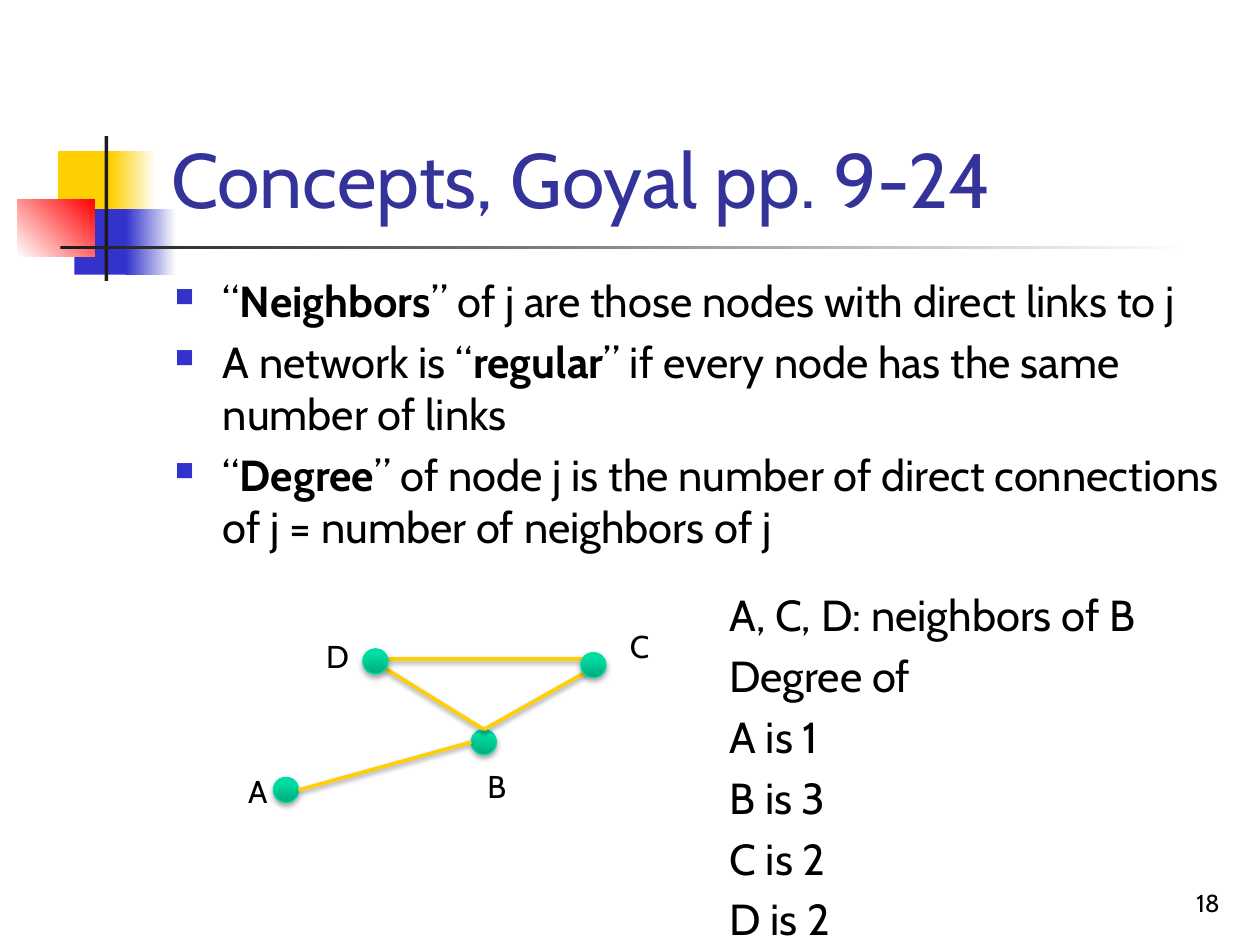
from typing import NamedTuple

from lxml import etree
from pptx import Presentation
from pptx.dml.color import RGBColor
from pptx.enum import shapes, text
from pptx.oxml import ns
from pptx.util import Inches, Pt

COLORS = {
    "yellow": "FFCF01", "blue": "3333CC", "red": "FF0000", "white": "FFFFFF",
    "dark": "1C1C1C", "title": "333399", "black": "000000",
    "node_low": "00AA7D", "node_mid": "00DDA3", "node_high": "00DEA4", "node_edge": "00DFA4",
}
FONT = "Cabin"
NODE_SIZE = 0.2
BODY_SIZE = 24.8
SPACE_BEFORE = 5


class Box(NamedTuple):
    left: float
    top: float
    width: float
    height: float


class Gradient(NamedTuple):
    stops: tuple[tuple[int, str], ...]
    angle: int = 0


class Block(NamedTuple):
    box: Box
    paint: str | Gradient


class Node(NamedTuple):
    name: str
    left: float
    top: float
    label: Box


class Link(NamedTuple):
    start: tuple[float, float]
    end: tuple[float, float]


class Run(NamedTuple):
    words: str
    bold: bool = False


def fade(start: str, end: str, angle: int = 0) -> Gradient:
    """Return a two-colour gradient."""
    return Gradient(((0, start), (100, end)), angle)


BLOCKS = [
    Block(Box(0.46, 1.2, 0.48, 0.52), "yellow"),
    Block(Box(0.88, 1.2, 0.36, 0.52), fade("yellow", "white")),
    Block(Box(0.59, 1.66, 0.46, 0.52), "blue"),
    Block(Box(1, 1.66, 0.4, 0.52), fade("blue", "white")),
    Block(Box(0.14, 1.58, 0.61, 0.46), fade("white", "red", 315)),
    Block(Box(0.83, 1.08, 0.03, 1.15), "dark"),
    Block(Box(0.48, 1.95, 9, 0.03), fade("dark", "white")),
]
NODE_PAINT = Gradient(((0, "node_low"), (80, "node_mid"), (100, "node_high")), 270)
BACK_NODES = [
    Node("B", 3.74, 5.79, Box(3.77, 6.04, 0.35, 0.4)),
    Node("A", 2.17, 6.17, Box(1.87, 6.08, 0.35, 0.4)),
]
FRONT_NODES = [
    Node("C", 4.61, 5.18, Box(4.9, 4.93, 0.35, 0.4)),
    Node("D", 2.88, 5.15, Box(2.49, 5.01, 0.37, 0.4)),
]
LINKS = [
    Link((3.08, 5.23), (4.68, 5.23)),
    Link((3.84, 5.79), (3.05, 5.3)),
    Link((3.84, 5.79), (4.71, 5.3)),
    Link((2.37, 6.27), (3.74, 5.89)),
]
CONCEPTS = [
    [Run("“"), Run("Neighbors", True), Run("” of j are those nodes with direct links to j")],
    [Run("A network is “"), Run("regular", True),
     Run("” if every node has the same number of links")],
    [Run("“"), Run("Degree", True),
     Run("” of node j is the number of direct connections of j = number of neighbors of j")],
]
DEGREES = ["A, C, D: neighbors of B", "Degree of", "A is 1", "B is 3", "C is 2", "D is 2"]


def rgb(name: str) -> RGBColor:
    """Look up a palette colour."""
    return RGBColor.from_string(COLORS[name])


def add_xml(parent, tag: str, **attributes):
    """Append a child element in the drawing namespace."""
    values = {key: str(value) for key, value in attributes.items()}
    return etree.SubElement(parent, ns.qn(f"a:{tag}"), values)


def add_shadow(shape, opacity: int, distance: float) -> None:
    """Give a shape a soft shadow straight below it."""
    effects = add_xml(shape._element.spPr, "effectLst")
    shadow = add_xml(effects, "outerShdw", blurRad=Pt(3.1), dist=Pt(distance),
                     dir=90 * 60000, rotWithShape=0)
    add_xml(add_xml(shadow, "srgbClr", val=COLORS["black"]), "alpha", val=opacity * 1000)


def paint_shape(shape, paint: str | Gradient) -> None:
    """Fill a shape with a plain colour or a gradient."""
    if isinstance(paint, str):
        shape.fill.solid()
        shape.fill.fore_color.rgb = rgb(paint)
        return
    shape.fill.gradient()
    shape.fill.gradient_angle = -paint.angle % 360
    stops = shape._element.spPr.find(".//" + ns.qn("a:gsLst"))
    stops.clear()
    for position, color in paint.stops:
        add_xml(add_xml(stops, "gs", pos=position * 1000), "srgbClr", val=COLORS[color])


def add_block(slide, block: Block) -> None:
    """Draw one piece of the corner ornament."""
    piece = slide.shapes.add_shape(shapes.MSO_SHAPE.RECTANGLE, *map(Inches, block.box))
    piece.shadow.inherit = False
    piece.line.fill.background()
    paint_shape(piece, block.paint)


def add_text(slide, box: Box, paragraphs: list[list[Run]], size: float, color: str = "black",
             anchor=text.MSO_ANCHOR.TOP, align=text.PP_ALIGN.LEFT, before: float = 0,
             wrap: bool = True, bullets: bool = False) -> None:
    """Place paragraphs of runs in a text box."""
    frame = slide.shapes.add_textbox(*map(Inches, box)).text_frame
    frame.word_wrap = wrap
    frame.vertical_anchor = anchor
    if not wrap:
        frame.auto_size = text.MSO_AUTO_SIZE.SHAPE_TO_FIT_TEXT
    for index, runs in enumerate(paragraphs):
        paragraph = frame.add_paragraph() if index else frame.paragraphs[0]
        paragraph.alignment = align
        paragraph.space_before = Pt(before)
        if bullets:
            add_bullet(paragraph)
        for words, bold in runs:
            run = paragraph.add_run()
            run.text = words
            run.font.name = FONT
            run.font.size = Pt(size)
            run.font.bold = bold
            run.font.color.rgb = rgb(color)


def add_bullet(paragraph) -> None:
    """Give a paragraph a hanging square bullet."""
    properties = paragraph._p.get_or_add_pPr()
    properties.set("marL", str(Inches(0.38)))
    properties.set("indent", str(Inches(-0.38)))
    add_xml(add_xml(properties, "buClr"), "srgbClr", val=COLORS["blue"])
    add_xml(properties, "buSzPct", val=60000)
    add_xml(properties, "buChar", char="■")


def add_node(slide, node: Node) -> None:
    """Draw a network node and its letter."""
    dot = slide.shapes.add_shape(shapes.MSO_SHAPE.OVAL, Inches(node.left), Inches(node.top),
                                 Inches(NODE_SIZE), Inches(NODE_SIZE))
    paint_shape(dot, NODE_PAINT)
    dot.line.color.rgb = rgb("node_edge")
    dot.line.width = Pt(0.75)
    add_shadow(dot, 35, 1.8)
    add_text(slide, node.label, [[Run(node.name)]], 18, wrap=False)


def add_link(slide, link: Link) -> None:
    """Draw a link between two nodes."""
    edge = slide.shapes.add_connector(shapes.MSO_CONNECTOR.STRAIGHT,
                                      *map(Inches, link.start + link.end))
    edge.line.color.rgb = rgb("yellow")
    edge.line.width = Pt(2)
    add_shadow(edge, 38, 1.6)


def main() -> None:
    """Build the slide on network concepts."""
    deck = Presentation()
    deck.slide_width, deck.slide_height = Inches(10), Inches(7.5)
    slide = deck.slides.add_slide(deck.slide_layouts[6])
    for block in BLOCKS:
        add_block(slide, block)
    add_text(slide, Box(1.26, 0.23, 8.52, 1.6), [[Run("Concepts, Goyal pp. 9-24")]], 44,
             "title", text.MSO_ANCHOR.BOTTOM)
    add_text(slide, Box(1.29, 2.13, 8.5, 2.38), CONCEPTS, BODY_SIZE,
             before=SPACE_BEFORE, bullets=True)
    add_text(slide, Box(7.7, 6.83, 2.08, 0.5), [[Run("18")]], 14,
             anchor=text.MSO_ANCHOR.BOTTOM, align=text.PP_ALIGN.RIGHT)
    for node in BACK_NODES:
        add_node(slide, node)
    for link in LINKS:
        add_link(slide, link)
    for node in FRONT_NODES:
        add_node(slide, node)
    add_text(slide, Box(5.69, 4.62, 3.89, 2.92), [[Run(line)] for line in DEGREES], BODY_SIZE,
             before=SPACE_BEFORE)
    deck.save("out.pptx")


if __name__ == "__main__":
    main()
